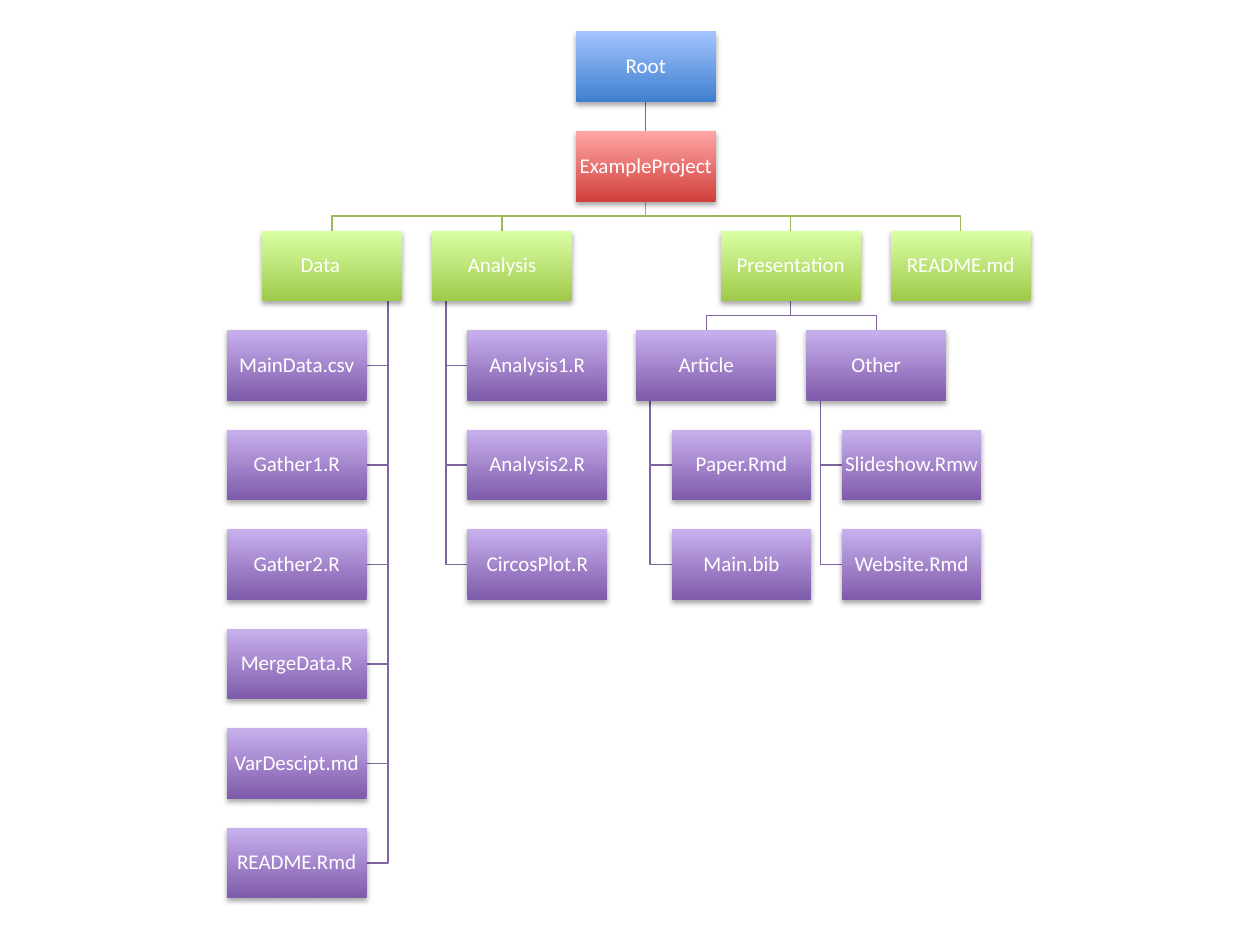
from dataclasses import dataclass
from lxml.etree import SubElement
from pptx import Presentation
from pptx.dml.color import RGBColor
from pptx.enum.shapes import MSO_CONNECTOR as Connector, MSO_SHAPE as Shape
from pptx.enum.text import MSO_ANCHOR as Anchor, PP_ALIGN as Align
from pptx.oxml.ns import qn
from pptx.util import Inches, Pt

WHITE = RGBColor(0xFF, 0xFF, 0xFF)
BLUE = (RGBColor(0x3F, 0x7F, 0xCE), RGBColor(0xA4, 0xC4, 0xFF))
RED = (RGBColor(0xD1, 0x40, 0x3C), RGBColor(0xFF, 0xA6, 0xA5))
GREEN = (RGBColor(0xA0, 0xCA, 0x4A), RGBColor(0xDA, 0xFF, 0xA5))
PURPLE = (RGBColor(0x7F, 0x5B, 0xAB), RGBColor(0xC8, 0xB0, 0xED))
RED_LINE = RGBColor(0xC0, 0x50, 0x4D)
GREEN_LINE = RGBColor(0x9B, 0xBB, 0x59)
PURPLE_LINE = RGBColor(0x80, 0x64, 0xA2)

BOX_WIDTH, BOX_HEIGHT = 1.11, 0.56
TOP, ROW_STEP = 0.25, 0.79
INDENT, STEM_INSET = 0.28, 0.11


@dataclass
class Node:
    label: str
    left: float
    row: int
    colors: tuple = PURPLE

    @property
    def top(self):
        return TOP + self.row * ROW_STEP

    @property
    def bottom(self):
        return self.top + BOX_HEIGHT

    @property
    def center(self):
        return self.left + BOX_WIDTH / 2

    @property
    def middle(self):
        return self.top + BOX_HEIGHT / 2


def list_files(folder, labels, side=1):
    return [Node(label, folder.left + side * INDENT, folder.row + 1 + index)
            for index, label in enumerate(labels)]


def draw_path(page, points, color):
    start, *rest = [(Inches(x), Inches(y)) for x, y in points]
    builder = page.shapes.build_freeform(*start)
    builder.add_line_segments(rest, close=False)
    path_shape = builder.convert_to_shape()
    path_shape.shadow.inherit = False
    path_shape.fill.background()
    path_shape.line.color.rgb = color
    path_shape.line.width = Pt(0.75)


def draw_branches(page, parent, children, color):
    bend = (parent.bottom + children[0].top) / 2
    for child in children:
        draw_path(page, [(parent.center, parent.bottom), (parent.center, bend),
                         (child.center, bend), (child.center, child.top)], color)


def draw_stem(page, folder, files, side=1):
    stem = folder.center + side * (STEM_INSET - BOX_WIDTH / 2)
    for file in files:
        edge = file.center - side * BOX_WIDTH / 2
        draw_path(page, [(stem, folder.bottom), (stem, file.middle),
                         (edge, file.middle)], PURPLE_LINE)


def draw_connector(page, upper, lower, color):
    connector = page.shapes.add_connector(
        Connector.STRAIGHT, Inches(upper.center), Inches(upper.bottom),
        Inches(lower.center), Inches(lower.top))
    connector.line.color.rgb = color
    connector.line.width = Pt(0.75)
    SubElement(connector._element.spPr, qn("a:effectLst"))
    return connector


def add_shadow(box):
    box.shadow.inherit = False
    effects = box._element.spPr.find(qn("a:effectLst"))
    shadow = SubElement(effects, qn("a:outerShdw"), blurRad="40000", dist="23000",
                        dir="5400000", rotWithShape="0")
    color = SubElement(shadow, qn("a:srgbClr"), val="000000")
    SubElement(color, qn("a:alpha"), val="35000")


def draw_box(page, node):
    box = page.shapes.add_shape(Shape.RECTANGLE, Inches(node.left), Inches(node.top),
                                Inches(BOX_WIDTH), Inches(BOX_HEIGHT))
    box.fill.gradient()
    box.fill.gradient_angle = 90
    for stop, color in zip(box.fill.gradient_stops, node.colors):
        stop.color.rgb = color
    box.line.fill.background()
    add_shadow(box)
    frame = box.text_frame
    frame.text = node.label
    frame.word_wrap = True
    frame.vertical_anchor = Anchor.MIDDLE
    frame.margin_left = frame.margin_right = Inches(0.01)
    frame.margin_top = frame.margin_bottom = Inches(0.01)
    para = frame.paragraphs[0]
    para.alignment = Align.CENTER
    para.line_spacing = 0.9
    for span in para.runs:
        span.font.name = "Calibri"
        span.font.size = Pt(12)
        span.font.color.rgb = WHITE
    return box


def main():
    deck = Presentation()
    deck.slide_width, deck.slide_height = Inches(10), Inches(7.5)
    page = deck.slides.add_slide(deck.slide_layouts[6])

    root = Node("Root", 4.57, 0, BLUE)
    project = Node("ExampleProject", 4.57, 1, RED)
    data = Node("Data\t", 2.08, 2, GREEN)
    analysis = Node("Analysis", 3.43, 2, GREEN)
    presentation = Node("Presentation", 5.72, 2, GREEN)
    readme = Node("README.md", 7.07, 2, GREEN)
    article = Node("Article", 5.05, 3)
    other = Node("Other", 6.4, 3)
    data_files = list_files(data, ["MainData.csv", "Gather1.R", "Gather2.R",
                                   "MergeData.R", "VarDescipt.md", "README.Rmd"], -1)
    analysis_files = list_files(analysis, ["Analysis1.R", "Analysis2.R", "CircosPlot.R"])
    article_files = list_files(article, ["Paper.Rmd", "Main.bib"])
    other_files = list_files(other, ["Slideshow.Rmw", "Website.Rmd"])

    draw_branches(page, project, [data, analysis, presentation, readme], GREEN_LINE)
    draw_branches(page, presentation, [article, other], PURPLE_LINE)
    draw_stem(page, data, data_files, -1)
    draw_stem(page, analysis, analysis_files)
    draw_stem(page, article, article_files)
    draw_stem(page, other, other_files)
    connector = draw_connector(page, root, project, RED_LINE)

    connector.begin_connect(draw_box(page, root), 2)
    connector.end_connect(draw_box(page, project), 0)
    for node in [data, *data_files, analysis, *analysis_files, presentation,
                 article, *article_files, other, *other_files, readme]:
        draw_box(page, node)

    deck.save("out.pptx")


if __name__ == "__main__":
    main()
